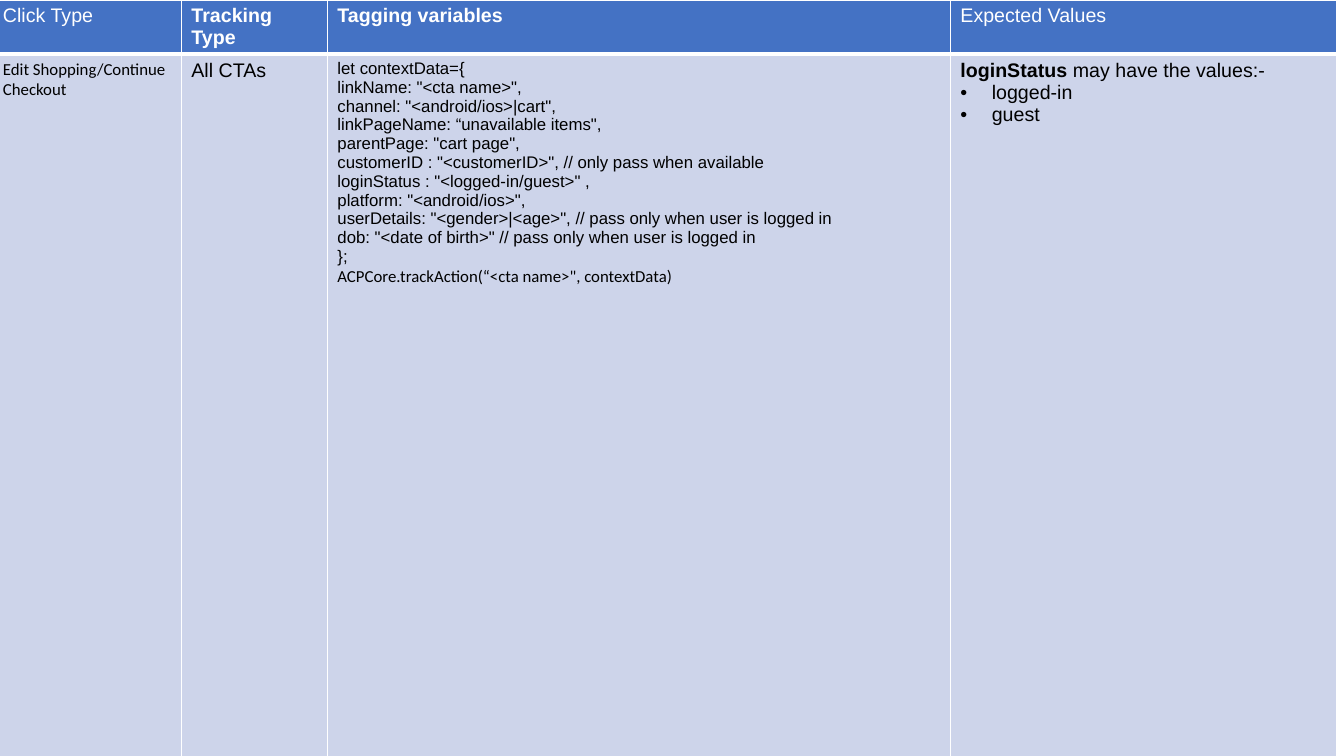
from lxml.etree import SubElement as Sub
from pptx import Presentation
from pptx.dml.color import RGBColor as RGB
from pptx.oxml.ns import qn
from pptx.util import Cm, Pt

WHITE = RGB(0xFF, 0xFF, 0xFF)
BLACK = RGB(0, 0, 0)
BLUE = RGB(0x44, 0x72, 0xC4)
PALE = RGB(0xCD, 0xD4, 0xEA)

WIDTHS = [4.75, 3.68, 15.7, 9.73]
HEIGHTS = [0.97, 18.08]
HEADS = [("Click Type", False), ("Tracking Type", True),
         ("Tagging variables", True), ("Expected Values", False)]
CODE = '''let contextData={
linkName: "<cta name>",
channel: "<android/ios>|cart",
linkPageName: “unavailable items",
parentPage: "cart page",
customerID : "<customerID>", // only pass when available
loginStatus : "<logged-in/guest>" ,
platform: "<android/ios>",
userDetails: "<gender>|<age>", // pass only when user is logged in
dob: "<date of birth>" // pass only when user is logged in
};'''


def write(para, text, size=14, face="Arial", bold=False, color=BLACK):
    run = para.add_run()
    run.text = text
    font = run.font
    font.size, font.name, font.bold = Pt(size), face, bold
    font.color.rgb = color


def dress(cell, fill, base):
    """Give a cell white borders, the bottom one `base` points wide, and a fill."""
    props = cell._tc.get_or_add_tcPr()
    for side, width in (("L", 1), ("R", 1), ("T", 1), ("B", base)):
        line = Sub(props, qn(f"a:ln{side}"), w=str(Pt(width)))
        Sub(Sub(line, qn("a:solidFill")), qn("a:srgbClr"), val=str(WHITE))
    cell.fill.solid()
    cell.fill.fore_color.rgb = fill


prs = Presentation()
prs.slide_width, prs.slide_height = Cm(33.87), Cm(19.05)
slide = prs.slides.add_slide(prs.slide_layouts[6])

# Table grid
frame = slide.shapes.add_table(2, 4, Cm(-0.18), Cm(0),
                               Cm(sum(WIDTHS)), Cm(sum(HEIGHTS)))
table = frame.table
table.horz_banding = False
for col, width in zip(table.columns, WIDTHS):
    col.width = Cm(width)
for row, height, fill, base in zip(table.rows, HEIGHTS, (BLUE, PALE), (3, 1)):
    row.height = Cm(height)
    for cell in row.cells:
        dress(cell, fill, base)

# Header row
for cell, (head, bold) in zip(table.rows[0].cells, HEADS):
    write(cell.text_frame.paragraphs[0], head, bold=bold, color=WHITE)

# Body row
click, track, code, values = [cell.text_frame for cell in table.rows[1].cells]
write(click.paragraphs[0], "Edit Shopping/Continue Checkout",
      size=12, face="Calibri")
write(track.paragraphs[0], "All CTAs")

for i, line in enumerate(CODE.splitlines()):
    para = code.add_paragraph() if i else code.paragraphs[0]
    write(para, line, size=12)
write(code.add_paragraph(), 'ACPCore.trackAction(“<cta name>", contextData)',
      size=12, face="Calibri")

lead = values.paragraphs[0]
write(lead, "loginStatus ", bold=True)
write(lead, "may have the values:-")
for state in ("logged-in", "guest"):
    para = values.add_paragraph()
    props = para._p.get_or_add_pPr()
    props.set("marL", str(Cm(0.79)))
    props.set("indent", str(Cm(-0.79)))
    Sub(props, qn("a:buFont"), typeface="Arial")
    Sub(props, qn("a:buChar"), char="•")
    write(para, state)

prs.save("out.pptx")
